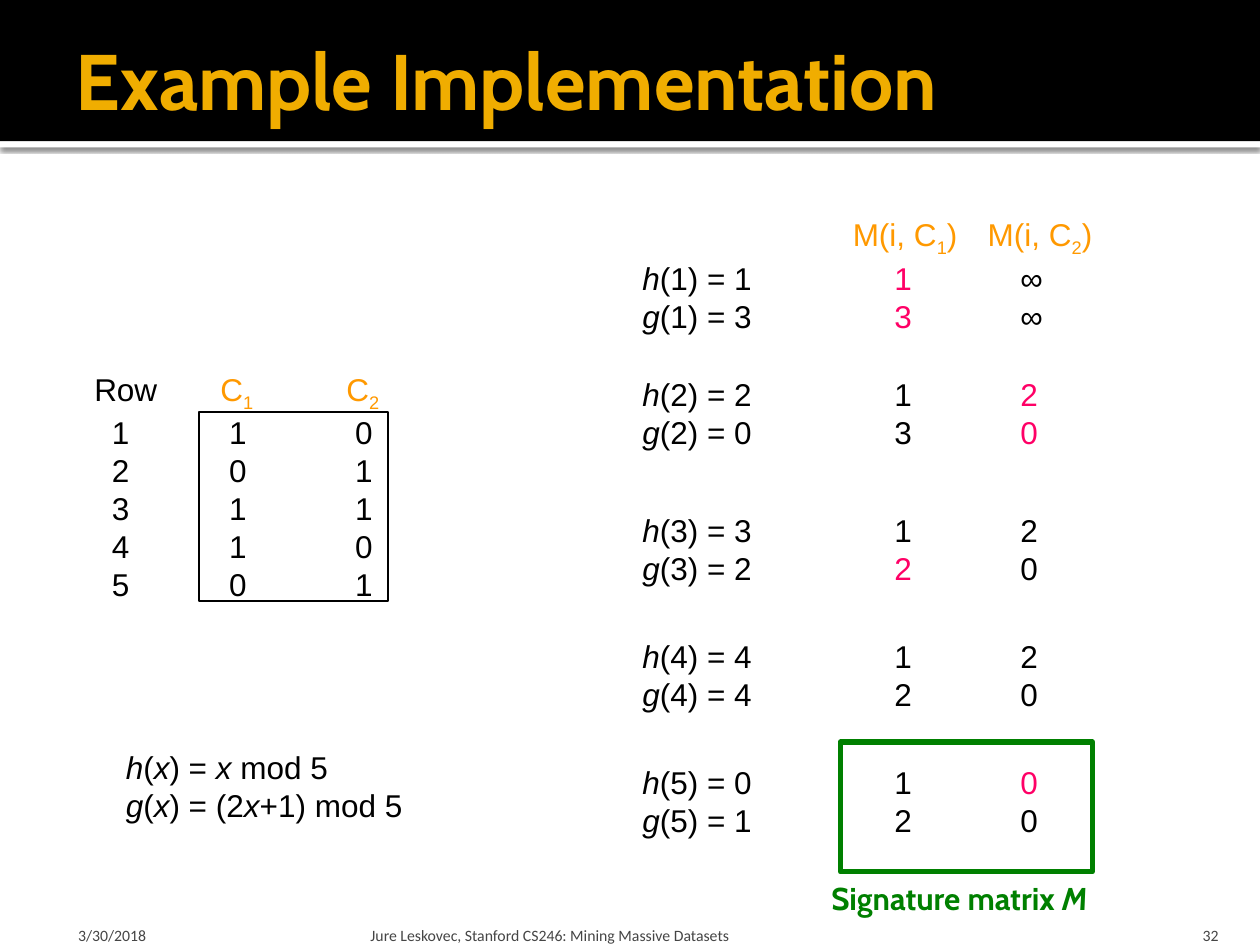
"""Build the slide that works through a min-hash signature example."""
from lxml import etree
from pptx import Presentation
from pptx import util as u
from pptx.dml.color import RGBColor
from pptx.enum import shapes, text
from pptx.oxml.ns import qn

BLACK = RGBColor(0x00, 0x00, 0x00)
WHITE = RGBColor(0xFF, 0xFF, 0xFF)
GOLD = RGBColor(0xF0, 0xAD, 0x00)
ORANGE = RGBColor(0xFF, 0x99, 0x00)
PINK = RGBColor(0xFF, 0x00, 0x66)
GREEN = RGBColor(0x00, 0x80, 0x00)
GREY = RGBColor(0x45, 0x45, 0x45)

COLUMNS = ((1, 0, 1, 1, 0), (0, 1, 1, 0, 1))
HASHES = {"h": lambda x: x % 5, "g": lambda x: (2 * x + 1) % 5}
STEP_TOPS = (2.01, 2.93, 4.01, 5.01, 6.01)
ITALIC = {"italic": True}
SUB = {"baseline": -25000}


def set_tabs(paragraph, stops):
    """Give a paragraph left tab stops, in inches."""
    tabs = etree.SubElement(paragraph._p.get_or_add_pPr(), qn("a:tabLst"))
    for stop in stops:
        etree.SubElement(tabs, qn("a:tab"), pos=str(u.Inches(stop)), algn="l")


def write_run(paragraph, wording, font="Arial", size=18, color=BLACK,
              bold=False, italic=False, baseline=None):
    """Append one formatted run to a paragraph."""
    run = paragraph.add_run()
    run.text = wording
    run.font.name = font
    run.font.size = u.Pt(size)
    run.font.bold = bold
    run.font.italic = italic
    run.font.color.rgb = color
    if baseline:
        run._r.get_or_add_rPr().set("baseline", str(baseline))


def write_text(frame, lines, tabs=(), align=text.PP_ALIGN.LEFT,
               anchor=text.MSO_ANCHOR.TOP, insets=(0.1, 0.05, 0.1, 0.05), **style):
    """Fill a text frame; a line is a list of strings or (string, format) pairs."""
    frame.word_wrap = True
    frame.auto_size = text.MSO_AUTO_SIZE.NONE
    frame.vertical_anchor = anchor
    (frame.margin_left, frame.margin_top,
     frame.margin_right, frame.margin_bottom) = map(u.Inches, insets)
    for index, line in enumerate(lines):
        paragraph = frame.add_paragraph() if index else frame.paragraphs[0]
        paragraph.alignment = align
        stops = tabs[min(index, len(tabs) - 1)] if tabs else ()
        if stops:
            set_tabs(paragraph, stops)
        for part in line:
            wording, change = (part, {}) if isinstance(part, str) else part
            write_run(paragraph, wording, **{**style, **change})


def add_text(slide, box, lines, **style):
    """Add a text box with formatted lines."""
    frame = slide.shapes.add_textbox(*map(u.Inches, box)).text_frame
    write_text(frame, lines, **style)


def add_rect(slide, box, fill=None, line=None, width=0.75):
    """Add a plain rectangle, filled or outlined."""
    rect = slide.shapes.add_shape(shapes.MSO_SHAPE.RECTANGLE, *map(u.Inches, box))
    rect.shadow.inherit = False
    if fill is None:
        rect.fill.background()
    else:
        rect.fill.solid()
        rect.fill.fore_color.rgb = fill
    if line is None:
        rect.line.fill.background()
    else:
        rect.line.color.rgb = line
        rect.line.width = u.Pt(width)
    return rect


def add_drop_shadow(rect):
    """Cast a soft shadow straight down."""
    effects = rect.element.spPr.find(qn("a:effectLst"))
    shadow = etree.SubElement(effects, qn("a:outerShdw"), blurRad=str(u.Pt(2.5)),
                              dist=str(u.Pt(0.8)), dir="5400000", algn="t",
                              rotWithShape="0")
    color = etree.SubElement(shadow, qn("a:srgbClr"), val=str(BLACK))
    etree.SubElement(color, qn("a:alpha"), val="60000")


def add_header(slide):
    """Draw the title band with its white edge and place the title on it."""
    add_drop_shadow(add_rect(slide, (0, 1.12, 10, 0.05), fill=WHITE))
    band = add_rect(slide, (0, 0, 10, 1.12), fill=BLACK)
    title = slide.shapes.title
    band.element.addnext(title.element)
    title.left, title.top, title.width, title.height = map(u.Inches, (0.5, 0.17, 9, 0.92))
    write_text(title.text_frame, [["Example Implementation"]], font="Cabin", size=45,
               color=GOLD, bold=True, anchor=text.MSO_ANCHOR.MIDDLE,
               insets=(0.1, 0.05, 0.05, 0.05))


def add_input_matrix(slide):
    """Show the rows of the two input columns."""
    orange, sub = {"color": ORANGE}, {"color": ORANGE, **SUB}
    heading = ["Row", ("\tC", orange), ("1", sub), ("\tC", orange), ("2", sub)]
    rows = [[f"\t{row}\t{first}\t{second}"]
            for row, (first, second) in enumerate(zip(*COLUMNS), 1)]
    add_text(slide, (0.65, 2.89, 2.54, 1.92), [heading, *rows],
             tabs=((1, 2), (0.14, 1.07, 2.07)))
    add_rect(slide, (1.58, 3.27, 1.5, 1.5), line=BLACK)


def add_hash_functions(slide):
    """State the two hash functions."""
    x = ("x", ITALIC)
    add_text(slide, (0.9, 5.89, 2.42, 0.71),
             [[("h", ITALIC), "(", x, ") = ", x, " mod 5"],
              [("g", ITALIC), "(", x, ") = (2", x, "+1) mod 5"]])


def add_steps(slide):
    """Show the signatures after each row, with changed values in pink."""
    signatures = {name: [float("inf")] * len(COLUMNS) for name in HASHES}
    for row, top in enumerate(STEP_TOPS, 1):
        lines = []
        for name, hash_of in HASHES.items():
            line = [(name, ITALIC), f"({row}) = {hash_of(row)}"]
            for index, column in enumerate(COLUMNS):
                before = signatures[name][index]
                after = min(before, hash_of(row)) if column[row - 1] else before
                signatures[name][index] = after
                shown = "∞" if after == float("inf") else after
                line.append((f"\t{shown}", {"color": BLACK if after == before else PINK}))
            lines.append(line)
        add_text(slide, (5, top, 3.41, 0.71), lines, tabs=((2, 3),))


def add_signature_labels(slide):
    """Head the signature columns and frame the final matrix."""
    add_text(slide, (6.67, 1.66, 2.13, 0.4),
             [["M(i, C", ("1", SUB), ")\tM(i, C", ("2", SUB), ")"]],
             tabs=((1.07,),), color=ORANGE)
    add_text(slide, (6.5, 6.93, 2.3, 0.4), [["Signature matrix ", ("M", ITALIC)]],
             font="Cabin", color=GREEN, bold=True)
    add_rect(slide, (6.67, 5.89, 2, 1.03), line=GREEN, width=3)


def add_footer(slide):
    """Add the date, course line and page number."""
    for left, width, inset, align, wording in (
            (0.5, 2.33, 0.12, text.PP_ALIGN.LEFT, "3/30/2018"),
            (2.89, 6.02, 0.05, text.PP_ALIGN.LEFT,
             "Jure Leskovec, Stanford CS246: Mining Massive Datasets"),
            (8.97, 0.8, 0.1, text.PP_ALIGN.RIGHT, "32")):
        add_text(slide, (left, 7.2, width, 0.3), [[wording]], font="Calibri", size=9,
                 color=GREY, align=align, anchor=text.MSO_ANCHOR.BOTTOM,
                 insets=(inset, 0.05, inset, 0))


def main():
    """Build and save the slide."""
    deck = Presentation()
    deck.slide_width, deck.slide_height = u.Inches(10), u.Inches(7.5)
    slide = deck.slides.add_slide(deck.slide_layouts[5])
    add_header(slide)
    add_input_matrix(slide)
    add_hash_functions(slide)
    add_steps(slide)
    add_signature_labels(slide)
    add_footer(slide)
    deck.save("out.pptx")


if __name__ == "__main__":
    main()
